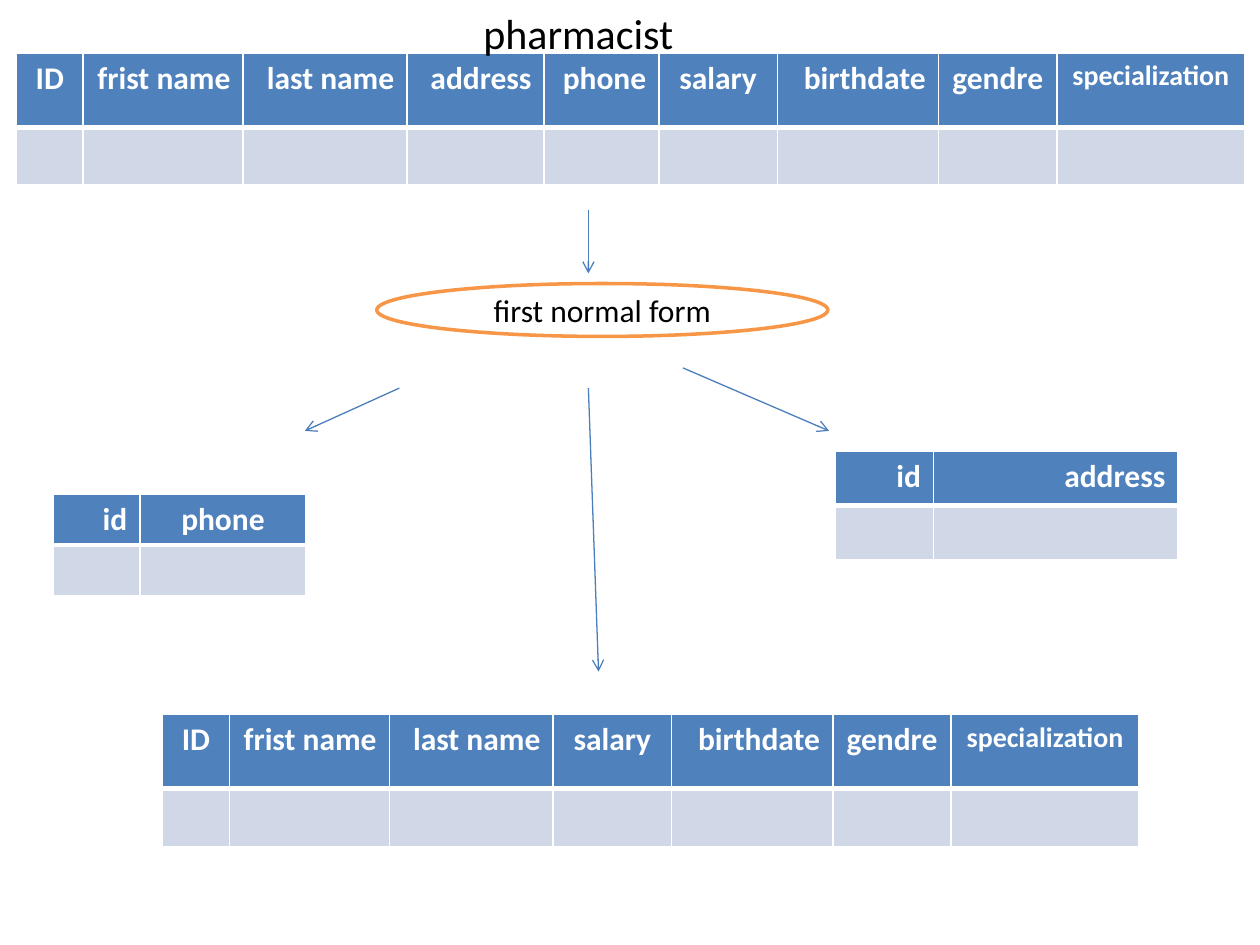
from lxml import etree
from pptx import Presentation
from pptx.dml.color import RGBColor
from pptx.enum.shapes import MSO_CONNECTOR, MSO_SHAPE
from pptx.enum.text import MSO_ANCHOR, MSO_AUTO_SIZE, PP_ALIGN
from pptx.oxml.ns import qn
from pptx.util import Inches, Pt

CENTER, RIGHT = PP_ALIGN.CENTER, PP_ALIGN.RIGHT
TOP, MIDDLE = MSO_ANCHOR.TOP, MSO_ANCHOR.MIDDLE
FIT_SHAPE = MSO_AUTO_SIZE.SHAPE_TO_FIT_TEXT
STRAIGHT = MSO_CONNECTOR.STRAIGHT
OVAL = MSO_SHAPE.OVAL

COLORS = {
    "white": "FFFFFF",
    "black": "000000",
    "header": "4F81BD",
    "body": "D0D8E8",
    "arrow": "4B7EBC",
    "oval": "F79646",
}

PHARMACIST = [
    ("ID", 0.53, CENTER, 18),
    ("frist name", 1.27, RIGHT, 18),
    ("last name", 1.3, RIGHT, 18),
    ("address", 1.09, RIGHT, 18),
    ("phone", 0.91, RIGHT, 18),
    ("salary", 0.94, CENTER, 18),
    ("birthdate", 1.28, RIGHT, 18),
    ("gendre", 0.94, CENTER, 18),
    ("specialization", 1.49, CENTER, 16),
]
MULTIVALUED = ("address", "phone")
REMAINDER = [col for col in PHARMACIST if col[0] not in MULTIVALUED]
ADDRESS = [("id", 0.78, RIGHT, 18), ("address", 1.94, RIGHT, 18)]
PHONE = [("id", 0.69, RIGHT, 18), ("phone", 1.32, CENTER, 18)]

TABLES = [
    (0.13, 0.42, PHARMACIST, (0.59, 0.46)),
    (6.63, 3.58, ADDRESS, (0.43, 0.43)),
    (1.29, 5.67, REMAINDER, (0.59, 0.46)),
    (0.42, 3.92, PHONE, (0.38, 0.4)),
]
ARROWS = [
    (4.67, 1.67, 4.67, 2.17),
    (3.17, 3.08, 2.42, 3.42),
    (5.42, 2.92, 6.58, 3.42),
    (4.67, 3.08, 4.75, 5.33),
]


def rgb(name):
    return RGBColor.from_string(COLORS[name])


def set_attrs(obj, values):
    for name, value in values.items():
        setattr(obj, name, value)


def write(tf, text, size, color, align=CENTER, bold=False):
    p = tf.paragraphs[0]
    p.alignment = align
    p._p.get_or_add_pPr().set("rtl", "1")
    r = p.add_run()
    r.text = text
    set_attrs(r.font, {"name": "Calibri", "size": Pt(size), "bold": bold})
    r.font.color.rgb = rgb(color)


def set_borders(cell, top, bottom):
    tcPr = cell._tc.get_or_add_tcPr()
    widths = {"a:lnL": 1, "a:lnR": 1, "a:lnT": top, "a:lnB": bottom}
    for i, (tag, width) in enumerate(widths.items()):
        ln = etree.Element(qn(tag), w=str(Pt(width)))
        fill = etree.SubElement(ln, qn("a:solidFill"))
        etree.SubElement(fill, qn("a:srgbClr"), val=COLORS["white"])
        tcPr.insert(i, ln)


def fill_cell(cell, color, top, bottom):
    cell.fill.solid()
    cell.fill.fore_color.rgb = rgb(color)
    set_borders(cell, top, bottom)


def add_relation(slide, left, top, columns, heights):
    width = sum(col[1] for col in columns)
    frame = slide.shapes.add_table(
        len(heights), len(columns), Inches(left), Inches(top),
        Inches(width), Inches(sum(heights)))
    table = frame.table
    for row, height in zip(table.rows, heights):
        row.height = Inches(height)
    for i, (name, col_width, align, size) in enumerate(columns):
        table.columns[i].width = Inches(col_width)
        header = table.cell(0, i)
        write(header.text_frame, name, size, "white", align, True)
        fill_cell(header, "header", 1, 3)
        fill_cell(table.cell(1, i), "body", 3, 1)


def add_title(slide, text):
    sp = slide.shapes.title
    set_attrs(sp, {"left": Inches(3.5), "top": Inches(0.01),
                   "width": Inches(2.18), "height": Inches(0.5)})
    set_attrs(sp.text_frame, {"word_wrap": True, "vertical_anchor": TOP,
                              "auto_size": FIT_SHAPE})
    write(sp.text_frame, text, 24, "black")
    slide.shapes._spTree.append(sp._element)


def add_step(slide, text):
    sp = slide.shapes.add_shape(
        OVAL, Inches(2.99), Inches(2.25), Inches(3.58), Inches(0.42))
    sp.shadow.inherit = False
    sp.fill.solid()
    sp.fill.fore_color.rgb = rgb("white")
    sp.line.color.rgb = rgb("oval")
    sp.line.width = Pt(2)
    sp.text_frame.vertical_anchor = MIDDLE
    write(sp.text_frame, text, 18, "black")


def add_arrow(slide, points):
    cxn = slide.shapes.add_connector(STRAIGHT, *map(Inches, points))
    cxn.line.color.rgb = rgb("arrow")
    cxn.line.width = Pt(0.75)
    ln = cxn.line._get_or_add_ln()
    etree.SubElement(ln, qn("a:tailEnd"), type="arrow")
    etree.SubElement(cxn._element.spPr, qn("a:effectLst"))


def main():
    prs = Presentation()
    set_attrs(prs, {"slide_width": Inches(10), "slide_height": Inches(7.5)})
    slide = prs.slides.add_slide(prs.slide_layouts[5])
    for relation in TABLES:
        add_relation(slide, *relation)
    add_title(slide, "pharmacist")
    add_step(slide, "first normal form")
    for points in ARROWS:
        add_arrow(slide, points)
    prs.save("out.pptx")


if __name__ == "__main__":
    main()
